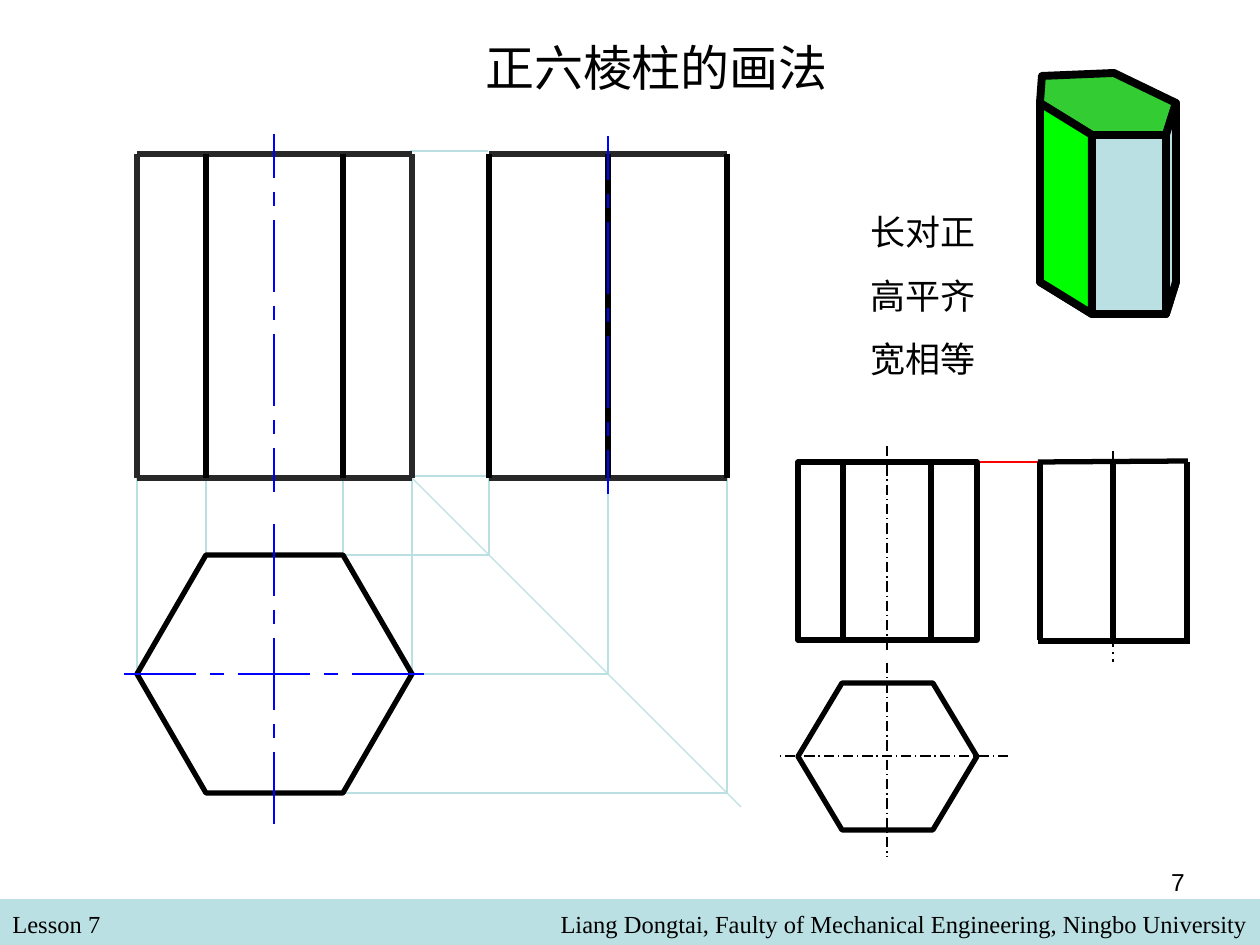
from dataclasses import dataclass

from lxml import etree
from pptx import Presentation
from pptx.dml.color import RGBColor
from pptx.enum.dml import MSO_LINE
from pptx.enum.shapes import MSO_CONNECTOR, MSO_SHAPE
from pptx.enum.text import PP_ALIGN
from pptx.oxml.ns import qn
from pptx.util import Emu, Pt

SCALE = 914400 / 126
STRAIGHT = MSO_CONNECTOR.STRAIGHT
RECTANGLE = MSO_SHAPE.RECTANGLE
HEXAGON = MSO_SHAPE.HEXAGON
DASH_DOT = MSO_LINE.LONG_DASH_DOT
LEFT, CENTER, RIGHT = PP_ALIGN.LEFT, PP_ALIGN.CENTER, PP_ALIGN.RIGHT


@dataclass(frozen=True)
class Theme:
    """Colours, fonts, type sizes and line widths of the slide."""
    ink: str = "000000"
    outline: str = "282828"
    pale: str = "BBE0E3"
    axis: str = "0000FF"
    accent: str = "FF0000"
    top_face: str = "33CC33"
    left_face: str = "00FF00"
    sans: str = "Arial"
    serif: str = "Times New Roman"
    title_size: int = 28
    label_size: int = 20
    small_size: int = 14
    label_gap: float = 12.5
    thin: float = 0.75
    fine: float = 1
    thick: float = 3
    heavy: float = 4.5


THEME = Theme()


def px(length):
    """Turn pixels into EMU."""
    return Emu(round(length * SCALE))


def style_line(line, color, width, dash=None):
    """Set colour, width and dash of a line."""
    line.color.rgb = RGBColor.from_string(color)
    line.width = Pt(width)
    if dash is not None:
        line.dash_style = dash


def style_shape(shape, fill, color, width):
    """Set the fill and outline of a shape, either of which may be None."""
    shape.shadow.inherit = False
    if fill:
        shape.fill.solid()
        shape.fill.fore_color.rgb = RGBColor.from_string(fill)
    else:
        shape.fill.background()
    if color:
        style_line(shape.line, color, width)
    else:
        shape.line.fill.background()


def add_line(shapes, start, end, color=THEME.ink, width=THEME.thick, dash=None):
    """Draw a straight line between two points."""
    line = shapes.add_connector(STRAIGHT, *map(px, (*start, *end)))
    style_line(line.line, color, width, dash)
    etree.SubElement(line._element.spPr, qn("a:effectLst"))


def add_polygon(shapes, points, width, fill=None):
    """Draw a closed outline through the points."""
    builder = shapes.build_freeform(*points[0], scale=SCALE)
    builder.add_line_segments(points[1:], close=True)
    style_shape(builder.convert_to_shape(), fill, THEME.ink, width)


def add_box(shapes, preset, box, fill=None, color=None, width=None):
    """Draw a preset shape."""
    shape = shapes.add_shape(preset, *map(px, box))
    style_shape(shape, fill, color, width)
    return shape


def add_text(shapes, box, lines, size, font, align=LEFT, gap=0):
    """Write one paragraph for each line in a text box."""
    frame = shapes.add_textbox(*map(px, box)).text_frame
    frame.word_wrap = True
    frame.text = "\n".join(lines)
    for index, paragraph in enumerate(frame.paragraphs):
        paragraph.alignment = align
        if index:
            paragraph.space_before = Pt(gap)
        paragraph.font.size = Pt(size)
        paragraph.font.name = font
        paragraph.font.color.rgb = RGBColor.from_string(THEME.ink)


def add_axis(shapes, start, dashes, horizontal=False):
    """Draw a centre line as separate dashes with equal gaps."""
    gap = 14
    x, y = start
    for dash in dashes:
        end = (x + dash, y) if horizontal else (x, y + dash)
        add_line(shapes, (x, y), end, THEME.axis, THEME.thin)
        x, y = (x + dash + gap, y) if horizontal else (x, y + dash + gap)


def draw_large_views(shapes):
    """Draw the three large views with projection and centre lines."""
    left, inner_left, axis, inner_right, right = 137, 206, 274, 343, 412
    back, middle, front = 489, 608, 727
    top, base = 154, 478
    plan_top, plan_middle, plan_base = 555, 674, 793
    plan_edges = ((left, plan_middle), (right, plan_middle), (inner_left, plan_top),
                  (inner_right, plan_top), (back, plan_top), (middle, plan_middle),
                  (front, plan_base))
    projections = [((x, base), (x, y)) for x, y in plan_edges]
    projections += [
        ((right, plan_middle), (middle, plan_middle)),
        ((inner_right, plan_top), (back, plan_top)),
        ((inner_right, plan_base), (front, plan_base)),
        ((right, base), (741, 807)),
        ((410, 476), (488, 476)),
        ((410, 151), (488, 151)),
    ]
    for start, end in projections:
        add_line(shapes, start, end, THEME.pale, THEME.thin)

    add_polygon(shapes, [(right, plan_middle), (inner_right, plan_top),
                         (inner_left, plan_top), (left, plan_middle),
                         (inner_left, plan_base), (inner_right, plan_base)], THEME.thick)
    for start, end in ((back, front), (left, right)):
        for y in (top, base):
            add_line(shapes, (start, y), (end, y), THEME.outline)
    for x in (left, right):
        add_line(shapes, (x, top), (x, base), THEME.outline)
    for x in (inner_left, inner_right, back, middle, front):
        add_line(shapes, (x, top), (x, base))

    plan_dashes = (72, 14, 72, 14, 72)
    view_dashes = (44, 14, 72, 14, 72, 14, 44)
    add_axis(shapes, (124, plan_middle), plan_dashes, horizontal=True)
    add_axis(shapes, (axis, 524), plan_dashes)
    add_axis(shapes, (axis, 134), view_dashes)
    add_axis(shapes, (middle, 136), view_dashes)


def draw_small_views(shapes):
    """Draw the three small views beside the large ones."""
    left, axis, right = 798, 887, 977
    back, middle, front = 1040, 1113, 1187
    top, base = 462, 640
    add_line(shapes, (1038, 641), (1190, 641))
    add_line(shapes, (middle, 451), (middle, 662), width=THEME.fine, dash=DASH_DOT)
    add_line(shapes, (right, top), (front, top), THEME.accent, THEME.fine)
    add_polygon(shapes, [(left, top), (left, base), (right, base), (right, top)],
                THEME.thick)
    hexagon = add_box(shapes, HEXAGON, (left, 683, 179, 147), None, THEME.ink, THEME.thick)
    hexagon.adjustments[0] = 0.3
    for start, end in (((1008, 756), (777, 756)), ((axis, 663), (axis, 857)),
                       ((axis, 446), (axis, 650))):
        add_line(shapes, start, end, width=THEME.thin, dash=DASH_DOT)
    for start, end in ((796, 979), (1047, 1177)):
        add_line(shapes, (start, 641), (end, 641), width=THEME.thin)
    for x in (843, 931, back, middle, front):
        add_line(shapes, (x, top), (x, base))
    add_line(shapes, (1038, 462), (1188, 461))


def draw_prism(shapes):
    """Draw the hexagonal prism in perspective."""
    height = 179
    top = [(1040, 103), (1092, 135), (1166, 135), (1176, 103), (1114, 73), (1042, 76)]
    base = [(x, y + height) for x, y in top]
    add_polygon(shapes, base, THEME.heavy)
    add_polygon(shapes, top, THEME.heavy, THEME.top_face)
    add_polygon(shapes, [top[0], base[0], base[1], top[1]], THEME.heavy, THEME.left_face)
    add_box(shapes, RECTANGLE, (*top[1], top[2][0] - top[1][0], height),
            THEME.pale, THEME.ink, THEME.heavy)
    add_polygon(shapes, [top[2], top[3], base[3], base[2]], THEME.heavy, THEME.pale)


def main():
    """Build the slide and save it."""
    presentation = Presentation()
    presentation.slide_width, presentation.slide_height = px(1260), px(945)
    slide = presentation.slides.add_slide(presentation.slide_layouts[6])
    shapes = slide.shapes
    add_box(shapes, RECTANGLE, (0, 899, 1260, 46), THEME.pale)
    add_text(shapes, (0, 903, 608, 42), ["Lesson 7"], THEME.small_size, THEME.serif)
    add_text(shapes, (231, 903, 1029, 42),
             ["Liang Dongtai, Faulty of Mechanical Engineering, Ningbo University"],
             THEME.small_size, THEME.serif, RIGHT)
    add_text(shapes, (121, 31, 1071, 73), ["正六棱柱的画法"],
             THEME.title_size, THEME.sans, CENTER)
    draw_large_views(shapes.add_group_shape().shapes)
    draw_small_views(shapes)
    add_text(shapes, (858, 204, 218, 183), ["长对正", "高平齐", "宽相等"],
             THEME.label_size, THEME.sans, gap=THEME.label_gap)
    draw_prism(shapes.add_group_shape().shapes)
    add_text(shapes, (903, 861, 294, 66), ["7"], THEME.small_size, THEME.sans, RIGHT)
    presentation.save("out.pptx")


if __name__ == "__main__":
    main()
